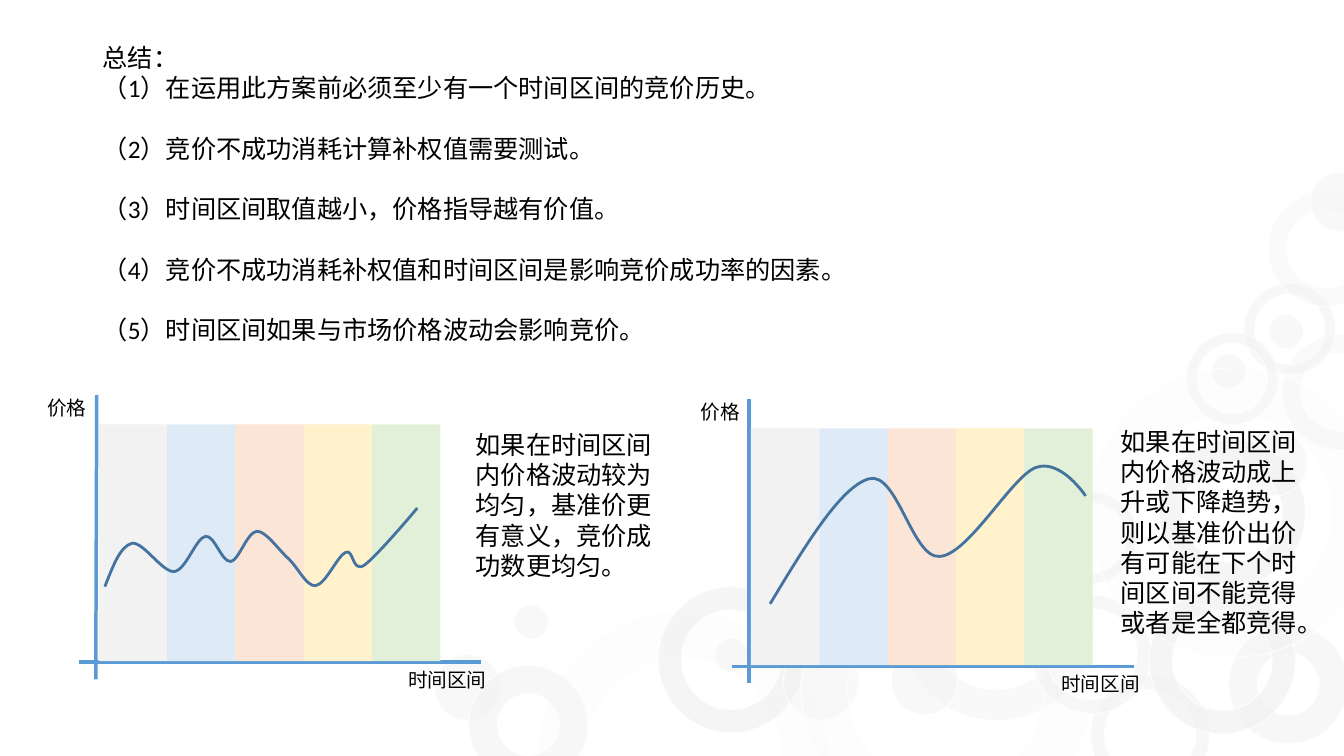
from dataclasses import dataclass

from lxml import etree
from pptx import Presentation
from pptx import util as u
from pptx.dml.color import RGBColor
from pptx.enum import shapes, text
from pptx.oxml.ns import qn

EMU_PER_PX = 9144  # 100 px to the inch


@dataclass(frozen=True)
class Theme:
    font: str = "Calibri"
    body: int = 18
    label: int = 14
    ink: str = "000000"
    axis: str = "5B9BD5"
    curve: str = "43739E"
    circle: str = "F2F2F2"
    circle_edge: str = "FFFFFF"
    bands: tuple = ("F2F2F2", "DEEBF7", "FBE5D6", "FFF2CC", "E2F0D9")


def px(value):
    return u.Emu(round(value * EMU_PER_PX))


def set_opacity(fill_format, percent):
    for color in fill_format._xPr.iter(qn("a:srgbClr")):
        etree.SubElement(color, qn("a:alpha"), val=str(percent * 1000))


class Canvas:
    def __init__(self, page, theme):
        self.page = page
        self.theme = theme
        self.shapes = page.shapes

    def start_group(self):
        group = self.page.shapes.add_group_shape()
        self.shapes = group.shapes
        return group

    def end_group(self):
        self.shapes = self.page.shapes

    def send_to_master(self, group):
        master = self.page.slide_layout.slide_master
        master.shapes._spTree.insert(2, group._element)

    def _shape(self, kind, left, top, width, height, color):
        shape = self.shapes.add_shape(kind, px(left), px(top), px(width), px(height))
        shape.shadow.inherit = False
        shape.fill.solid()
        shape.fill.fore_color.rgb = RGBColor.from_string(color)
        return shape

    def band(self, left, top, width, height, color):
        self._shape(shapes.MSO_SHAPE.RECTANGLE, left, top, width, height, color).line.fill.background()

    def circle(self, left, top, size, opacity, hole=None, rotation=0):
        """A disc, or a donut when the ring thickness is given."""
        kind = shapes.MSO_SHAPE.DONUT if hole else shapes.MSO_SHAPE.OVAL
        shape = self._shape(kind, left, top, size, size, self.theme.circle)
        if hole:
            shape.adjustments[0] = hole
        shape.rotation = rotation
        set_opacity(shape.fill, opacity)
        shape.line.width = u.Pt(1)
        shape.line.fill.solid()
        shape.line.color.rgb = RGBColor.from_string(self.theme.circle_edge)
        set_opacity(shape.line.fill, 70)

    def line(self, x1, y1, x2, y2):
        line = self.shapes.add_connector(
            shapes.MSO_CONNECTOR.STRAIGHT, px(x1), px(y1), px(x2), px(y2))
        line.line.color.rgb = RGBColor.from_string(self.theme.axis)
        line.line.width = u.Pt(2.5)
        etree.SubElement(line._element.spPr, qn("a:effectLst"))

    def curve(self, start, points):
        """Draw cubic Bezier segments: two handles and an end for each."""
        builder = self.shapes.build_freeform(*start, scale=EMU_PER_PX)
        builder.add_line_segments(points, close=False)
        shape = builder.convert_to_shape()
        # Join every three straight steps into one smooth segment
        steps = list(shape._element.iter(qn("a:lnTo")))
        for index in range(0, len(steps), 3):
            smooth = etree.SubElement(steps[index].getparent(), qn("a:cubicBezTo"))
            for step in steps[index:index + 3]:
                smooth.append(step[0])
                step.getparent().remove(step)
        shape.shadow.inherit = False
        shape.fill.background()
        shape.line.color.rgb = RGBColor.from_string(self.theme.curve)
        shape.line.width = u.Pt(2)

    def text(self, left, top, width, height, lines, size, wrap=True, gap=0):
        """Write one paragraph per line; gap follows all but the first and last."""
        box = self.shapes.add_textbox(px(left), px(top), px(width), px(height))
        frame = box.text_frame
        frame.word_wrap = wrap
        frame.auto_size = text.MSO_AUTO_SIZE.SHAPE_TO_FIT_TEXT
        frame.text = "\n".join(lines)
        for para in frame.paragraphs:
            para.font.name = self.theme.font
            para.font.size = u.Pt(size)
            para.font.color.rgb = RGBColor.from_string(self.theme.ink)
        for para in frame.paragraphs[1:-1]:
            para.space_after = u.Pt(gap)

    def price_chart(self, x, y, lean=0):
        """Axes crossing at x, y with one coloured band per time interval."""
        self.start_group()
        self.line(x - 17, y, x + 382, y)
        self.line(x, y + 17, x + lean, y - 265)
        for index, color in enumerate(self.theme.bands):
            self.band(x + 2 + lean + 67.75 * index, y - 236, 68, 235, color)
        self.text(x - 58, y - 269, 59, 34, ["价格"], self.theme.label, wrap=False)
        self.text(x + 300, y + 1, 99, 34, ["时间区间"], self.theme.label, wrap=False)
        self.end_group()


# Background circles by rotation: left, top, size, opacity, ring thickness
CIRCLES = {
    101.7: [
        (1150, 436, 145, 75, 0.159), (1272, 332, 114, 31, 0.159),
        (534, 607, 287, 13, 0.159), (1082, 670, 118, 54, 0.117),
        (1234, 281, 91, 54, 0.117), (1231, 426, 66, 47, None),
        (1202, 351, 34, 47, None)],
    341.7: [
        (892, 521, 194, 42, 0.159), (653, 582, 145, 75, 0.159),
        (777, 639, 75, 39, None), (965, 492, 59, 47, None),
        (795, 540, 287, 13, 0.159), (1024, 590, 118, 54, 0.117),
        (1037, 488, 91, 54, 0.117), (1219, 620, 118, 54, 0.24),
        (792, 527, 34, 47, None), (431, 649, 66, 47, None),
        (709, 633, 34, 47, None), (1020, 445, 34, 47, None)],
    176.7: [
        (1140, 583, 145, 75, 0.159), (1258, 190, 114, 31, 0.159),
        (1300, 171, 59, 47, None), (1080, 365, 287, 13, 0.159),
        (1177, 330, 91, 54, 0.117), (465, 660, 118, 54, 0.24),
        (1259, 312, 34, 47, None), (884, 643, 66, 47, None),
        (510, 600, 34, 47, None)],
}

SUMMARY = [
    "总结：",
    "（1）在运用此方案前必须至少有一个时间区间的竞价历史。",
    "（2）竞价不成功消耗计算补权值需要测试。",
    "（3）时间区间取值越小，价格指导越有价值。",
    "（4）竞价不成功消耗补权值和时间区间是影响竞价成功率的因素。",
    "（5）时间区间如果与市场价格波动会影响竞价。",
]

EVEN_PRICES = [
    (112, 562), (119, 542), (131, 539), (142, 537), (161, 568), (173, 567),
    (185, 565), (194, 534), (204, 532), (213, 531), (220, 558), (229, 557),
    (237, 556), (245, 528), (255, 527), (264, 527), (276, 545), (286, 554),
    (295, 562), (304, 582), (313, 581), (323, 580), (335, 551), (343, 548),
    (351, 544), (349, 568), (361, 561), (373, 553), (414, 504), (414, 504),
]
TRENDING_PRICES = [
    (799, 541), (834, 483), (862, 475), (890, 467), (905, 554), (932, 552),
    (960, 551), (1003, 474), (1027, 464), (1052, 454), (1077, 492), (1077, 492),
]


def main():
    deck = Presentation()
    deck.slide_width, deck.slide_height = u.Inches(13.333), px(750)
    theme = Theme()
    canvas = Canvas(deck.slides.add_slide(deck.slide_layouts[6]), theme)

    # Background circles
    backdrop = canvas.start_group()
    for rotation, circles in CIRCLES.items():
        for circle in circles:
            canvas.circle(*circle, rotation=rotation)
    canvas.end_group()
    canvas.send_to_master(backdrop)

    # Summary
    canvas.text(92, 37, 1192, 313, SUMMARY, theme.body, gap=21.6)

    # Price charts and their curves
    canvas.price_chart(95, 657, lean=1)
    canvas.price_chart(743, 661)
    canvas.curve((104, 582), EVEN_PRICES)
    canvas.curve((764, 599), TRENDING_PRICES)

    # Explanations
    canvas.text(462, 421, 219, 162, [
        "如果在时间区间内价格波动较为均匀，基准价更有意义，竞价成功数更均匀。"], theme.body)
    canvas.text(1102, 418, 219, 222, [
        "如果在时间区间内价格波动成上升或下降趋势，则以基准价出价有可能在下个时间区间不能竞得或者是全都竞得。"],
        theme.body)

    deck.save("out.pptx")


if __name__ == "__main__":
    main()
